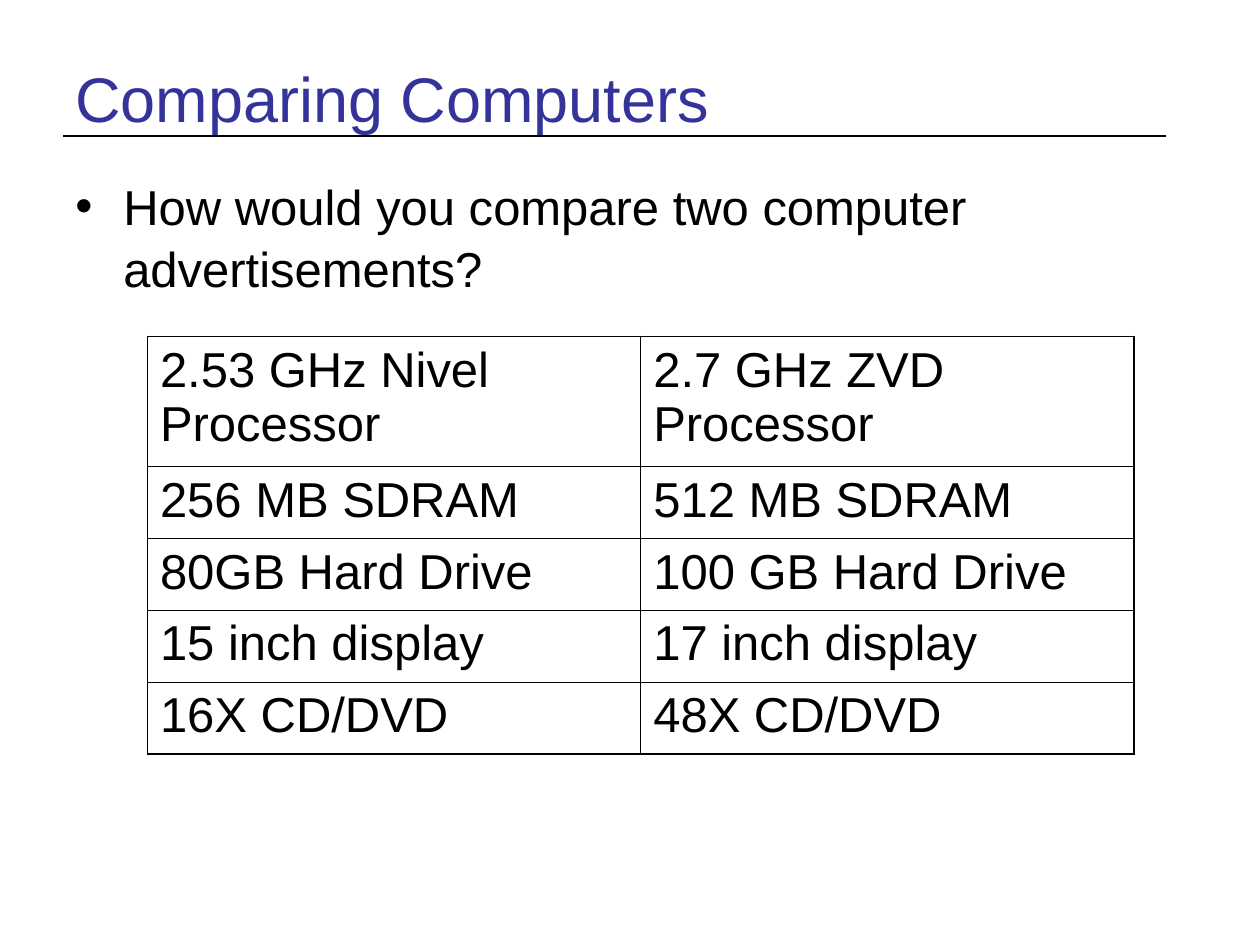
from typing import NamedTuple

from lxml.etree import SubElement
from pptx import Presentation
from pptx.dml.color import RGBColor
from pptx.enum.shapes import MSO_CONNECTOR
from pptx.enum.text import MSO_ANCHOR
from pptx.oxml.ns import qn
from pptx.util import Inches, Pt

COLORS = {"title": "333399", "ink": "000000"}
FONT = "Arial"
THIN, THICK = 0.45, 1.08


class Block(NamedTuple):
    text: str
    left: float
    top: float
    width: float
    height: float
    size: float
    color: str
    anchor: MSO_ANCHOR
    bullet: bool = False


class Pair(NamedTuple):
    first: str
    second: str
    height: float = 0.57


BLOCKS = [
    Block("Comparing Computers", 0.5, 0.3, 9, 0.95, 36, "title", MSO_ANCHOR.MIDDLE),
    Block("How would you compare two computer advertisements?",
          0.5, 1.33, 9.08, 5.37, 28, "ink", MSO_ANCHOR.TOP, True),
]
PAIRS = [
    Pair("2.53 GHz Nivel Processor", "2.7 GHz ZVD Processor", 1.03),
    Pair("256 MB SDRAM", "512 MB SDRAM"),
    Pair("80GB Hard Drive", "100 GB Hard Drive"),
    Pair("15 inch display", "17 inch display"),
    Pair("16X CD/DVD", "48X CD/DVD"),
]


def style(para, size: float, color: str) -> None:
    for run in para.runs:
        run.font.name = FONT
        run.font.size = Pt(size)
        run.font.color.rgb = RGBColor.from_string(COLORS[color])


def add_bullet(para) -> None:
    """Give the paragraph a round bullet with a hanging indent."""
    props = para._p.get_or_add_pPr()
    props.set("marL", str(Inches(0.38)))
    props.set("indent", str(-Inches(0.38)))
    tint = SubElement(props, qn("a:buClr"))
    SubElement(tint, qn("a:srgbClr"), val=COLORS["ink"])
    SubElement(props, qn("a:buFont"), typeface=FONT)
    SubElement(props, qn("a:buChar"), char="•")


def add_block(slide, block: Block) -> None:
    box = slide.shapes.add_textbox(Inches(block.left), Inches(block.top),
                                   Inches(block.width), Inches(block.height))
    frame = box.text_frame
    frame.word_wrap = True
    frame.vertical_anchor = block.anchor
    frame.text = block.text
    para = frame.paragraphs[0]
    if block.bullet:
        para.line_spacing = 1.05
        add_bullet(para)
    style(para, block.size, block.color)


def add_rule(slide) -> None:
    rule = slide.shapes.add_connector(MSO_CONNECTOR.STRAIGHT, Inches(0.5), Inches(1.08),
                                      Inches(9.25), Inches(1.08))
    rule.line.color.rgb = RGBColor.from_string(COLORS["ink"])
    rule.line.width = Pt(1.5)
    SubElement(rule._element.spPr, qn("a:effectLst"))


def add_edges(cell, outer: dict[str, bool]) -> None:
    """Draw the cell's borders, thick where the side is on the table's outline."""
    props = cell._tc.get_or_add_tcPr()
    for spot, (side, thick) in enumerate(outer.items()):
        width = Pt(THICK if thick else THIN)
        edge = SubElement(props, qn(f"a:ln{side}"), w=str(width))
        fill = SubElement(edge, qn("a:solidFill"))
        SubElement(fill, qn("a:srgbClr"), val=COLORS["ink"])
        props.insert(spot, edge)


def add_specs(slide) -> None:
    height = sum(pair.height for pair in PAIRS)
    table = slide.shapes.add_table(len(PAIRS), 2, Inches(1.17), Inches(2.67),
                                   Inches(7.83), Inches(height)).table
    table.first_row = table.horz_banding = False
    for row, pair in enumerate(PAIRS):
        table.rows[row].height = Inches(pair.height)
        for col, text in enumerate((pair.first, pair.second)):
            cell = table.cell(row, col)
            cell.text_frame.text = text
            style(cell.text_frame.paragraphs[0], 28, "ink")
            cell.fill.background()
            add_edges(cell, {"L": col == 0, "R": col == 1, "T": row == 0,
                             "B": row == len(PAIRS) - 1})


def main() -> None:
    deck = Presentation()
    deck.slide_width, deck.slide_height = Inches(10), Inches(7.5)
    slide = deck.slides.add_slide(deck.slide_layouts[6])
    add_rule(slide)
    for block in BLOCKS:
        add_block(slide, block)
    add_specs(slide)
    deck.save("out.pptx")


if __name__ == "__main__":
    main()
